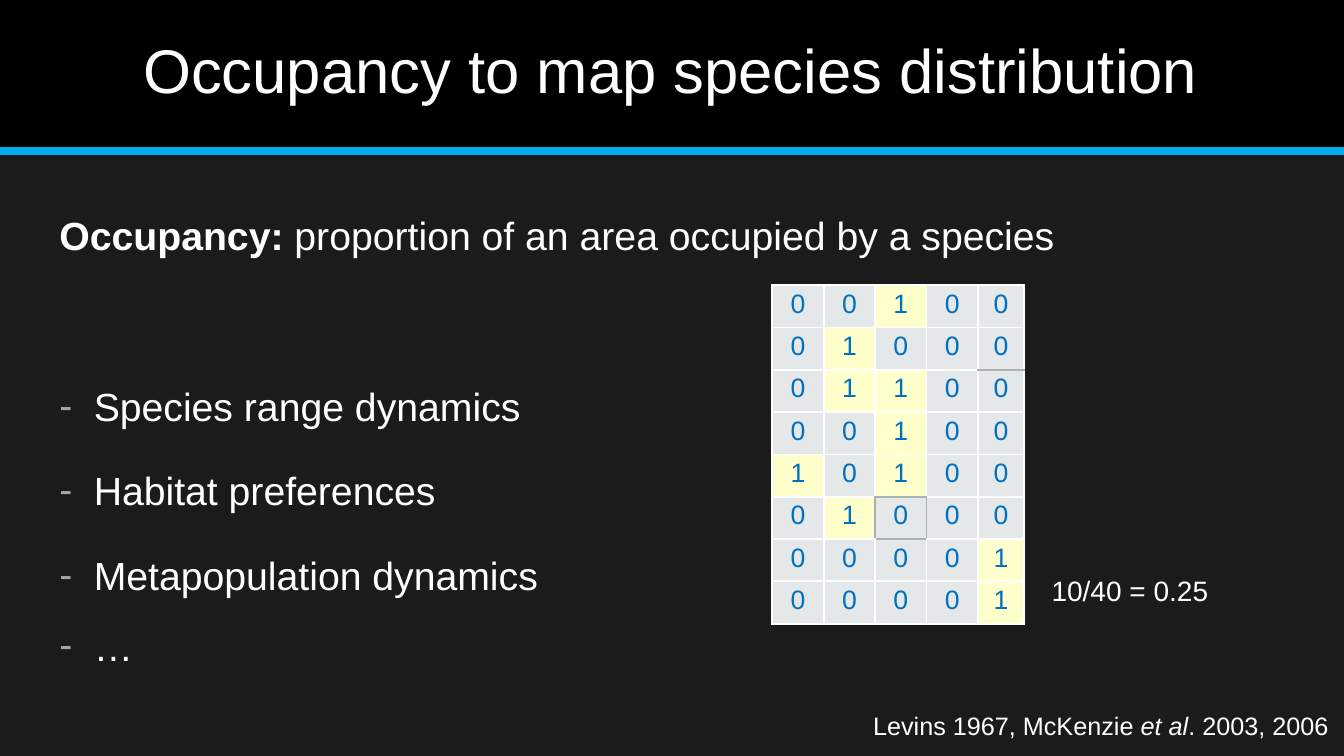
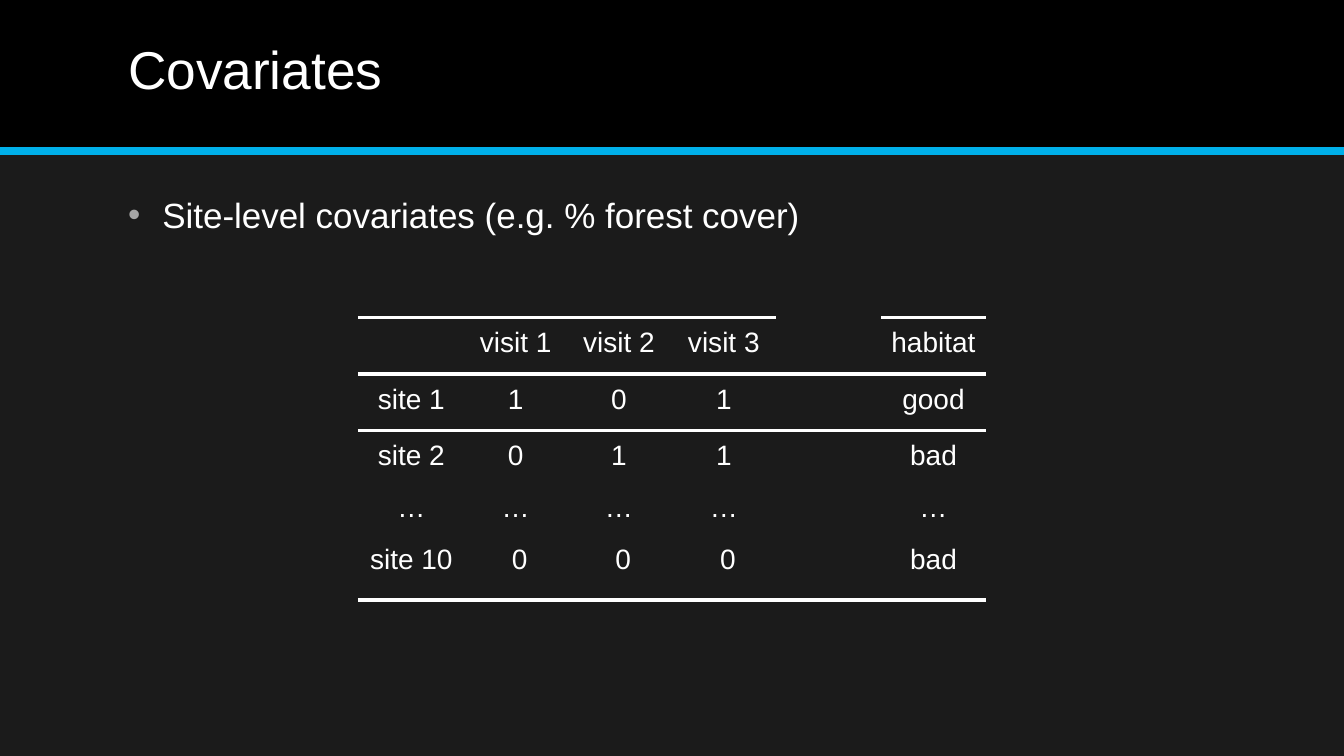
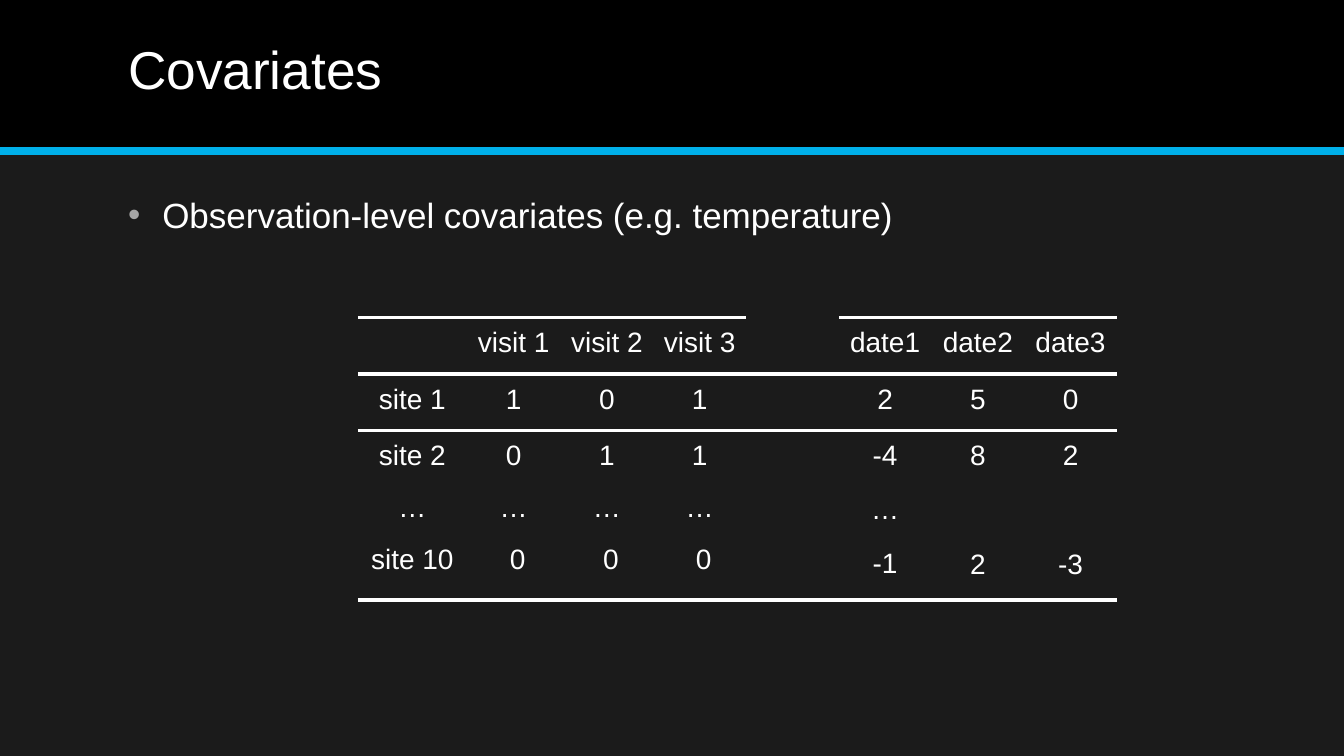
"""Build three slides on species occupancy and its covariates."""
from dataclasses import dataclass
from itertools import product

from lxml import etree
from pptx import Presentation
from pptx import util as u
from pptx.dml import color
from pptx.enum import shapes, text
from pptx.oxml import ns


@dataclass(frozen=True)
class Theme:
    """Colours, font and type sizes of the deck."""
    font: str = "Arial"
    back: str = "1B1B1B"
    band: str = "000000"
    rule: str = "00B0EA"
    ink: str = "FFFFFF"
    mark: str = "A6A6A6"
    digit: str = "0070C0"
    none: str = "E5E8E8"
    found: str = "FFFFCC"
    edge: str = "A8B2B2"
    lead: int = 44
    title: int = 38
    body: int = 28
    point: int = 25
    cell: int = 20
    grid: int = 19
    note: int = 18


def rgb(code):
    """Turn a hex code into a colour."""
    return color.RGBColor.from_string(code)


def node(root, tag, **keys):
    """Add a drawing element under root."""
    return etree.SubElement(root, ns.qn("a:" + tag), **keys)


class Deck:
    """Holds the style and the current slide."""

    def __init__(self, theme):
        """Start an empty wide deck."""
        self.look = theme
        self.show = Presentation()
        self.show.slide_width = u.Inches(13.33)
        self.show.slide_height = u.Inches(7.5)

    def page(self, title, left, top, width, size):
        """Add a slide with its band, rule and title."""
        look = self.look
        self.slide = self.show.slides.add_slide(self.show.slide_layouts[6])
        fill = self.slide.background.fill
        fill.solid()
        fill.fore_color.rgb = rgb(look.back)
        wide = self.show.slide_width
        band = self.slide.shapes.add_shape(
            shapes.MSO_SHAPE.RECTANGLE, 0, 0, wide, u.Inches(1.46))
        band.shadow.inherit = False
        band.fill.solid()
        band.fill.fore_color.rgb = rgb(look.band)
        band.line.fill.background()
        rule = self.slide.shapes.add_connector(
            shapes.MSO_CONNECTOR.STRAIGHT, 0, u.Inches(1.5), wide, u.Inches(1.5))
        rule.line.color.rgb = rgb(look.rule)
        rule.line.width = u.Pt(6)
        node(rule._element.spPr, "effectLst")
        self.box(left, top, width, 0.76, [title], size)

    def para(self, par, parts, size, tint=None, gap=1, bullet=None, indent=0):
        """Fill a paragraph; a part is a string or a (string, style) pair."""
        par.space_before = u.Pt(gap)
        props = par._p.get_or_add_pPr()
        if bullet:
            props.set("marL", str(u.Inches(0.34)))
            props.set("indent", str(-u.Inches(0.34)))
            node(node(props, "buClr"), "srgbClr", val=self.look.mark)
            node(props, "buFont", typeface=self.look.font)
            node(props, "buChar", char=bullet)
        elif indent:
            props.set("marL", str(u.Inches(indent)))
        font = par.font
        font.name = self.look.font
        font.size = u.Pt(size)
        font.color.rgb = rgb(tint or self.look.ink)
        for part in parts:
            words, style = (part, None) if isinstance(part, str) else part
            run = par.add_run()
            run.text = words
            if style:
                setattr(run.font, style, True)

    def box(self, left, top, width, height, parts, size, bullet=None):
        """Add a text box and return its frame."""
        frame = self.slide.shapes.add_textbox(
            *map(u.Inches, (left, top, width, height))).text_frame
        frame.word_wrap = True
        frame.margin_left = frame.margin_right = frame.margin_bottom = 0
        frame.margin_top = u.Inches(0.01)
        self.para(frame.paragraphs[0], parts, size, bullet=bullet)
        return frame

    def table(self, left, top, cols, rows):
        """Add a plain table of the given column widths and row heights."""
        tab = self.slide.shapes.add_table(
            len(rows), len(cols), *map(u.Inches, (left, top, sum(cols), sum(rows)))).table
        tab.first_row = tab.horz_banding = False
        style = tab._tbl.tblPr.find(ns.qn("a:tableStyleId"))
        style.text = "{2D5ABB26-0587-4C30-8999-92F81FD0307C}"
        for col, size in zip(tab.columns, cols):
            col.width = u.Inches(size)
        for row, size in zip(tab.rows, rows):
            row.height = u.Inches(size)
        return tab

    def cell(self, cell, fill, top, edges, width):
        """Set the fill, margins and coloured edges of a cell."""
        cell.fill.solid()
        cell.fill.fore_color.rgb = rgb(fill)
        cell.margin_left = cell.margin_right = cell.margin_bottom = 0
        cell.margin_top = u.Inches(top)
        props = cell._tc.get_or_add_tcPr()
        for spot, side in enumerate(s for s in "LRTB" if s in edges):
            line = node(props, "ln" + side, w=str(u.Pt(width)))
            node(node(line, "solidFill"), "srgbClr", val=edges[side])
            props.insert(spot, line)

    def grid(self, left, top, rows, grey):
        """Add a presence map; grey lists the (row, column, side) of grey edges."""
        look = self.look
        tab = self.table(left, top, [0.51] * 4 + [0.46], [0.42] * len(rows))
        for r, c in product(range(len(rows)), range(5)):
            value = rows[r][c]
            cell = tab.cell(r, c)
            edges = {s: look.edge if (r, c, s) in grey else look.ink for s in "LRTB"}
            self.cell(cell, look.found if value == "1" else look.none, 0.04, edges, 1.5)
            par = cell.text_frame.paragraphs[0]
            par.alignment = text.PP_ALIGN.CENTER
            self.para(par, [value], look.grid, look.digit, 2.6)

    def visits(self, cols, extra, step):
        """Add the visit table with extra columns after an empty one."""
        look = self.look
        base = [["", "site 1", "site 2\n…\nsite 10"],
                ["visit 1", "1", "0\n…\n0"],
                ["visit 2", "0", "1\n…\n0"],
                ["visit 3", "1", "1\n…\n0"]]
        blank = len(base)
        data = base + [[""] * 3] + extra
        tab = self.table(3.55, 3.15, cols, [0.56, 0.56, 1.68])
        for c, r in product(range(len(data)), range(3)):
            cell = tab.cell(r, c)
            edges = {"B": look.ink}
            if r == 0 and c != blank:
                edges["T"] = look.ink
            self.cell(cell, look.back, 0.1, edges, 3)
            frame = cell.text_frame
            pitch = step if c > blank else 14.6
            gap = 7.2
            for i, line in enumerate(data[c][r].split("\n")):
                if i and not line:
                    gap = 2 * pitch + 23
                    continue
                par = frame.add_paragraph() if i else frame.paragraphs[0]
                par.alignment = text.PP_ALIGN.CENTER
                shift = 0.08 if i == 2 and 0 < c < blank else 0
                self.para(par, [line] if line else [], look.cell, gap=gap, indent=shift)
                gap = pitch


def around(row, col):
    """List both faces of the four edges round a cell."""
    return {(row, col, s) for s in "LRTB"} | {
        (row, col - 1, "R"), (row, col + 1, "L"),
        (row - 1, col, "B"), (row + 1, col, "T")}


def main():
    """Build and save the deck."""
    look = Theme()
    deck = Deck(look)

    deck.page("Occupancy to map species distribution", 1.42, 0.31, 10.6, look.lead)
    frame = deck.box(
        0.59, 2.09, 9.93, 3.76,
        [("Occupancy: ", "bold"), "proportion of an area occupied by a species"], look.body)
    topics = ["Species range dynamics", "Habitat preferences", "Metapopulation dynamics"]
    for topic, gap in zip(topics, (88.5, 26.5, 26.5)):
        deck.para(frame.add_paragraph(), [topic], look.body, gap=gap, bullet="-")
    deck.box(0.59, 6.16, 0.76, 0.49, ["…"], look.body, "-")
    rows = ["00100", "01000", "01100", "00100", "10100", "01000", "00001", "00001"]
    deck.grid(7.66, 2.83, rows, around(5, 2) | {(1, 4, "B"), (2, 4, "T")})
    deck.box(8.66, 7.04, 4.6, 0.33,
             ["Levins 1967, McKenzie ", ("et al", "italic"), ". 2003, 2006"], look.note)
    deck.box(10.43, 5.68, 1.7, 0.36, ["10/40 = 0.25"], look.cell)

    habitat = [["habitat", "good", "bad\n…\nbad"]]
    dates = [["date1", "2", "-4\n…\n-1"],
             ["date2", "5", "8\n\n2"],
             ["date3", "0", "2\n\n-3"]]
    pages = [
        ("Site-level covariates (e.g. % forest cover)",
         [1.06, 1.01] + [1.04] * 4, habitat, 14.6),
        ("Observation-level covariates (e.g. temperature)",
         [1.08, 0.93] + [0.92] * 6, dates, 16.3)]
    for point, cols, extra, step in pages:
        deck.page("Covariates", 1.27, 0.35, 2.7, look.title)
        deck.box(1.27, 1.91, 7.7, 0.44, [point], look.point, "•")
        deck.visits(cols, extra, step)

    deck.show.save("out.pptx")


if __name__ == "__main__":
    main()
